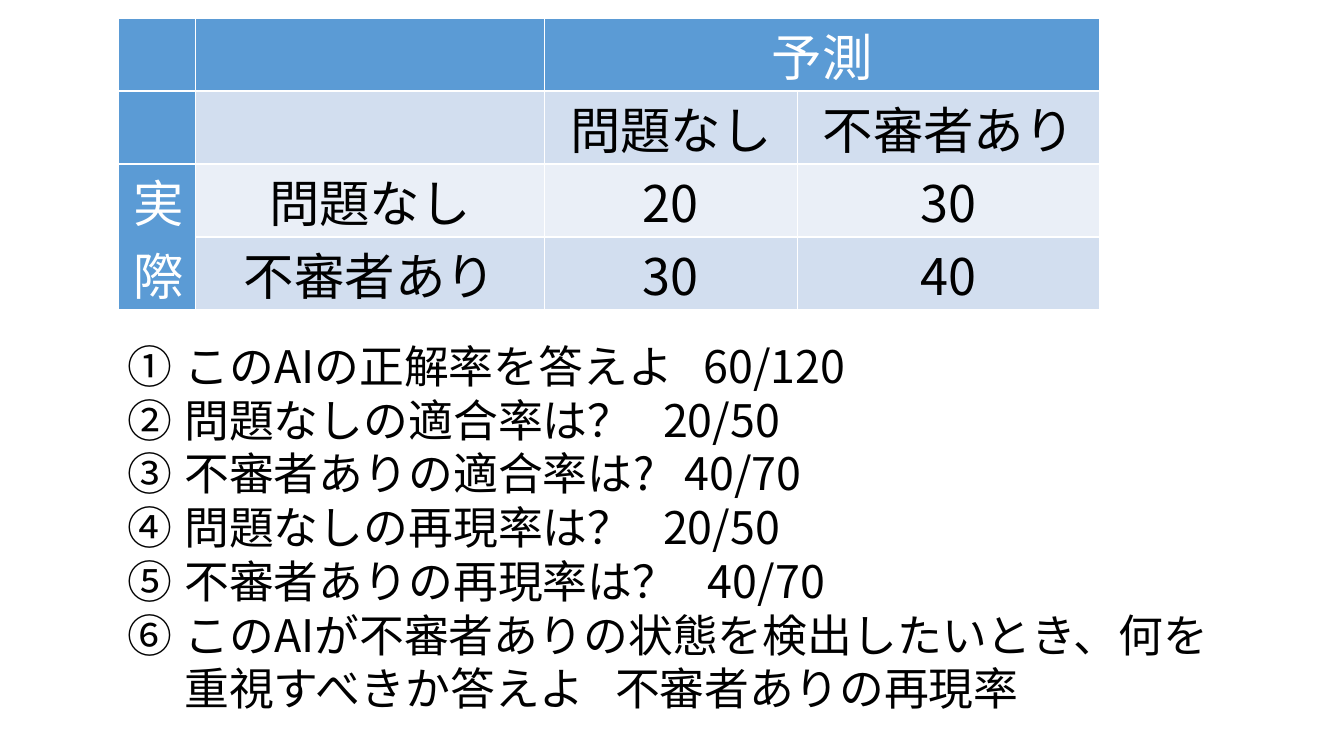
from lxml import etree
from pptx import Presentation
from pptx.dml.color import RGBColor
from pptx.enum.text import MSO_AUTO_SIZE, PP_ALIGN
from pptx.oxml.ns import qn
from pptx.util import Inches, Pt

CENTER = PP_ALIGN.CENTER
FIT_SHAPE = MSO_AUTO_SIZE.SHAPE_TO_FIT_TEXT
FONT = "Noto Sans CJK JP"
WHITE = RGBColor(0xFF, 0xFF, 0xFF)
BLACK = RGBColor(0x00, 0x00, 0x00)
HEADER = RGBColor(0x5B, 0x9B, 0xD5)
BAND_DARK = RGBColor(0xD2, 0xDE, 0xEF)
BAND_LIGHT = RGBColor(0xEA, 0xEF, 0xF7)


class Deck:
    """Holds the font and the current slide."""

    def __init__(self, slide, font):
        self.slide = slide
        self.font = font

    def style(self, r, size, color):
        r.font.size = Pt(size)
        r.font.color.rgb = color
        r.font.bold = False
        r.font.name = self.font
        ea = etree.SubElement(r.font._element, qn("a:ea"))
        ea.set("typeface", self.font)

    def cell(self, cell, text, fill, color, size=36):
        cell.fill.solid()
        cell.fill.fore_color.rgb = fill
        cell.margin_left = cell.margin_right = Inches(0.07)
        cell.margin_top = cell.margin_bottom = 0
        if text:
            p = cell.text_frame.paragraphs[0]
            p.text = text
            p.alignment = CENTER
            self.style(p.runs[0], size, color)

    def table(self, left, top, widths, row_height, rows):
        frame = self.slide.shapes.add_table(
            len(rows), len(widths), Inches(left), Inches(top),
            Inches(sum(widths)), Inches(row_height * len(rows)))
        table = frame.table
        for col, width in zip(table.columns, widths):
            col.width = Inches(width)
        for i, row in enumerate(rows):
            band = BAND_DARK if i % 2 else BAND_LIGHT
            for j, text in enumerate(row):
                head = i == 0 or j == 0
                self.cell(table.cell(i, j), text, HEADER if head else band,
                          WHITE if head else BLACK)
        return table

    def numbered_list(self, left, top, width, height, items, size=32):
        box = self.slide.shapes.add_textbox(
            Inches(left), Inches(top), Inches(width), Inches(height))
        tf = box.text_frame
        tf.word_wrap = True
        tf.auto_size = FIT_SHAPE
        for i, (question, answer) in enumerate(items):
            p = tf.paragraphs[0] if i == 0 else tf.add_paragraph()
            pPr = p._p.get_or_add_pPr()
            pPr.set("marL", str(Inches(0.56)))
            pPr.set("indent", str(-Inches(0.56)))
            bullet_font = etree.SubElement(pPr, qn("a:buFont"))
            bullet_font.set("typeface", "+mj-ea")
            number = etree.SubElement(pPr, qn("a:buAutoNum"))
            number.set("type", "circleNumDbPlain")
            for text in (question, " ", answer):
                r = p.add_run()
                r.text = text
                self.style(r, size, BLACK)
            # Widen the single space between question and answer
            p.runs[1].font._element.set("spc", "1430")


prs = Presentation()
prs.slide_width, prs.slide_height = Inches(13.33), Inches(7.5)
deck = Deck(prs.slides.add_slide(prs.slide_layouts[6]), FONT)

# Confusion matrix
OK, INTRUDER = "問題なし", "不審者あり"
matrix = deck.table(1.17, 0.18, [0.77, 3.46, 2.51, 3], 0.69, [
    ["", "", "予測", ""],
    ["", "", OK, INTRUDER],
    ["実際", OK, "20", "30"],
    ["", INTRUDER, "30", "40"],
])
matrix.cell(0, 2).merge(matrix.cell(0, 3))
matrix.cell(2, 0).merge(matrix.cell(3, 0))

# Vertical row heading
actual = matrix.cell(2, 0)
actual._tc.get_or_add_tcPr().set("vert", "eaVert")
p = actual.text_frame.paragraphs[0]
p.alignment = None
p._p.get_or_add_pPr().set("marL", str(Inches(0.08)))

# Questions with answers
deck.numbered_list(1.17, 3.31, 11.12, 3.87, [
    ("このAIの正解率を答えよ", "60/120"),
    (OK + "の適合率は？", "20/50"),
    (INTRUDER + "の適合率は?", "40/70"),
    (OK + "の再現率は？", "20/50"),
    (INTRUDER + "の再現率は？", "40/70"),
    ("このAIが不審者ありの状態を検出したいとき、何を重視すべきか答えよ",
     INTRUDER + "の再現率"),
])

prs.save("out.pptx")
